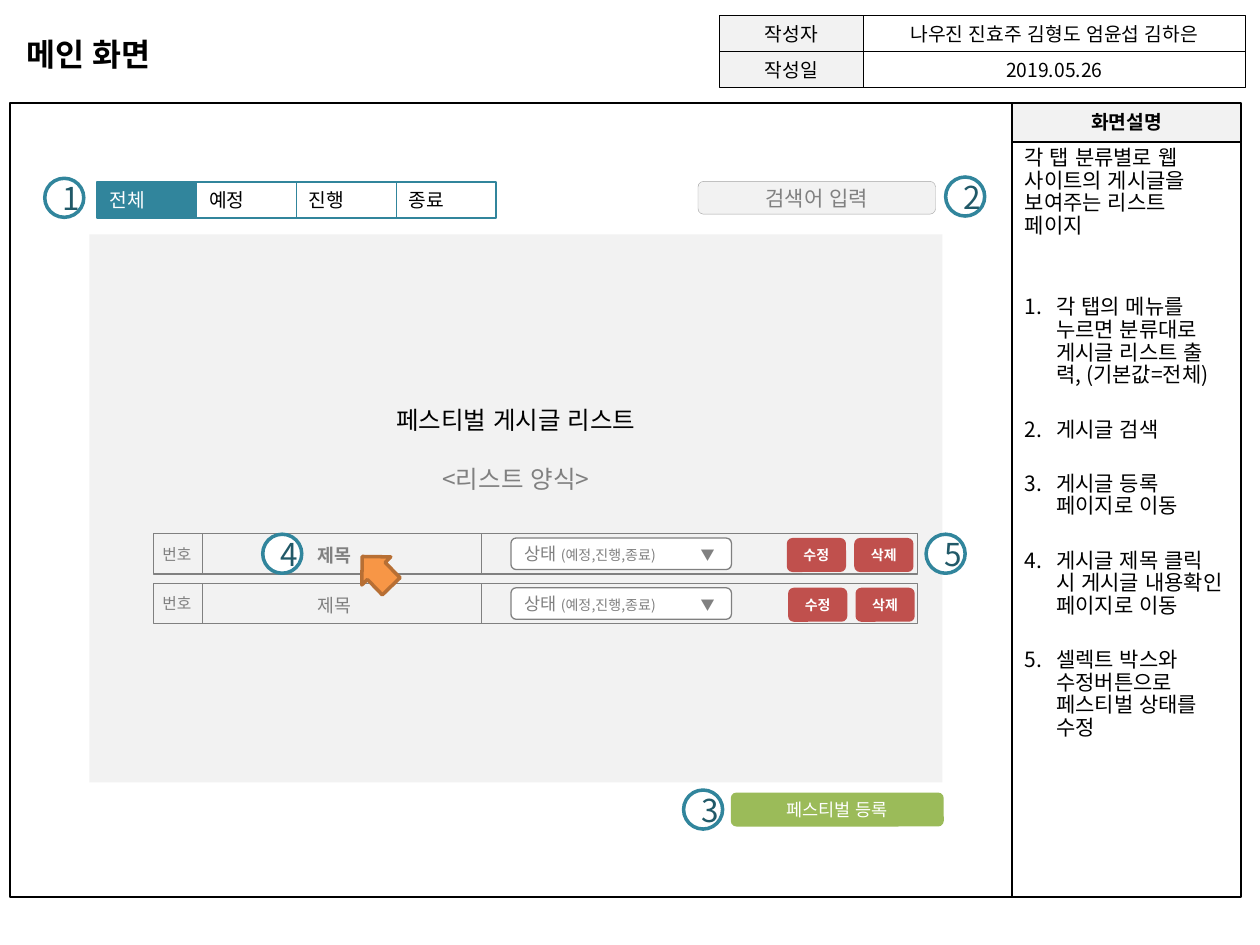
import pptx
import pptx.util
import pptx.dml.color
import pptx.enum.lang
import pptx.enum.shapes
import pptx.enum.text
import pptx.oxml.ns
import lxml.etree

Pt = pptx.util.Pt
RGB = pptx.dml.color.RGBColor.from_string
KIND = pptx.enum.shapes.MSO_SHAPE
LEFT = pptx.enum.text.PP_ALIGN.LEFT
MID = pptx.enum.text.PP_ALIGN.CENTER
FONT = "Noto Sans CJK KR"
HUE = {
    "black": "000000", "white": "FFFFFF", "pale": "F2F2F2", "gray": "808080",
    "edge": "A6A6A6", "teal": "31859C", "deep": "215968", "green": "9BBB59",
    "red": "C0504D", "gold": "F79646", "rust": "B76F34",
}

deck = pptx.Presentation()
deck.slide_width = pptx.util.Inches(10)
deck.slide_height = pptx.util.Inches(7.5)
page = deck.slides.add_slide(deck.slide_layouts[6])
col = deck.slide_width / 100
row = deck.slide_height / 75


def draw(kind, x, y, wide, high, fill=None, line=None, weight=0.75):
    place = [int(x * col), int(y * row), int(wide * col), int(high * row)]
    if kind is None:
        box = page.shapes.add_textbox(*place)
    else:
        box = page.shapes.add_shape(kind, *place)
        box.shadow.inherit = False
    if fill:
        box.fill.solid()
        box.fill.fore_color.rgb = RGB(HUE[fill])
    else:
        box.fill.background()
    if line:
        box.line.color.rgb = RGB(HUE[line])
        box.line.width = Pt(weight)
    else:
        box.line.fill.background()
    box.text_frame.word_wrap = True
    box.text_frame.vertical_anchor = pptx.enum.text.MSO_ANCHOR.MIDDLE
    return box


def write(para, text, size, hue="black", bold=False, align=MID, face=FONT):
    para.alignment = align
    run = para.add_run()
    run.text = text
    run.font.size = Pt(size)
    run.font.bold = bold
    run.font.name = face
    run.font.color.rgb = RGB(HUE[hue])
    run.font.language_id = pptx.enum.lang.MSO_LANGUAGE_ID.KOREAN
    run.font._element.set("kern", "0")
    east = lxml.etree.SubElement(run.font._element, pptx.oxml.ns.qn("a:ea"))
    east.set("typeface", FONT)


notes = [
    "각 탭 분류별로 웹 사이트의 게시글을 보여주는 리스트 페이지",
    "각 탭의 메뉴를 누르면 분류대로 게시글 리스트 출력, (기본값=전체)",
    "게시글 검색",
    "게시글 등록 페이지로 이동",
    "게시글 제목 클릭 시 게시글 내용확인 페이지로 이동",
    "셀렉트 박스와 수정버튼으로 페스티벌 상태를 수정",
]
side = draw(KIND.RECTANGLE, 80.35, 11.1, 18.15, 60.1, line="black", weight=1)
frame = side.text_frame
frame.vertical_anchor = pptx.enum.text.MSO_ANCHOR.TOP
frame.margin_top = frame.margin_bottom = int(0.6 * row)
frame.margin_right = int(1.3 * col)
for i, note in enumerate(notes):
    para = frame.add_paragraph() if i else frame.paragraphs[0]
    para.line_spacing = 0.9
    if i:
        para.space_before = Pt(33.5 if i == 1 else 18)
        prop = para._p.get_or_add_pPr()
        prop.set("marL", str(int(2.5 * col)))
        prop.set("indent", str(int(-2.5 * col)))
        mark = lxml.etree.SubElement(prop, pptx.oxml.ns.qn("a:buAutoNum"))
        mark.set("type", "arabicPeriod")
    write(para, note, 12, align=LEFT)

head = draw(KIND.RECTANGLE, 80.35, 8.2, 18.15, 3.1, "pale", "black", 1)
head.text_frame.paragraphs[0].line_spacing = 0.9
write(head.text_frame.paragraphs[0], "화면설명", 11, bold=True, face="Arial")
draw(KIND.RECTANGLE, 0.8, 8.2, 79.55, 63, "white", "black", 1)

facts = [("작성자", "나우진 진효주 김형도 엄윤섭 김하은"), ("작성일", "2019.05.26")]
for i, pair in enumerate(facts):
    for text, x, wide, fill in zip(pair, (57.12, 68.54), (11.42, 30.3), ("pale", None)):
        cell = draw(KIND.RECTANGLE, x, 1.25 + 2.85 * i, wide, 2.85, fill, "black")
        write(cell.text_frame.paragraphs[0], text, 11)

title = draw(None, 1.1, 2.3, 15.7, 4)
write(title.text_frame.paragraphs[0], "메인 화면", 18, bold=True, align=LEFT)

board = draw(KIND.RECTANGLE, 7.1, 18.6, 67.7, 43.5, "pale")
board.text_frame.margin_bottom = int(9.9 * row)
write(board.text_frame.paragraphs[0], "페스티벌 게시글 리스트", 14)
para = board.text_frame.add_paragraph()
para.space_before = Pt(17)
write(para, "<리스트 양식>", 14, "gray")

for i, text in enumerate(["전체", "예정", "진행", "종료"]):
    tab = draw(KIND.RECTANGLE, 7.7 + 7.92 * i, 14.45, 7.92, 2.85,
               "white" if i else "teal", "teal")
    write(tab.text_frame.paragraphs[0], text, 11,
          "black" if i else "white", align=LEFT)

search = draw(KIND.ROUNDED_RECTANGLE, 55.4, 14.4, 18.85, 2.6, "pale", "edge", 0.25)
write(search.text_frame.paragraphs[0], "검색어 입력", 12, "gray")

for i in range(2):
    top = 42.35 + 3.95 * i
    for x in (16.1, 38.2):
        rule = page.shapes.add_connector(
            pptx.enum.shapes.MSO_CONNECTOR.STRAIGHT,
            int(x * col), int(top * row), int(x * col), int((top + 3.2) * row))
        rule.line.color.rgb = RGB(HUE["gray"])
        rule.line.width = Pt(0.75)
        lxml.etree.SubElement(rule._element.spPr, pptx.oxml.ns.qn("a:effectLst"))
    draw(KIND.RECTANGLE, 12.2, top, 60.6, 3.2, line="gray")
    label = draw(None, 11.9, top + 0.35, 5, 2.5)
    write(label.text_frame.paragraphs[0], "번호", 9, "gray", align=LEFT)
    label = draw(None, 24.2, top + 0.3, 4.9, 2.8)
    write(label.text_frame.paragraphs[0], "제목", 10.5, "gray", i == 0, LEFT)

    state = draw(KIND.ROUNDED_RECTANGLE, 40.55, top + 0.35, 17.5, 2.5, "white", "gray")
    para = state.text_frame.paragraphs[0]
    tabs = lxml.etree.SubElement(para._p.get_or_add_pPr(), pptx.oxml.ns.qn("a:tabLst"))
    stop = lxml.etree.SubElement(tabs, pptx.oxml.ns.qn("a:tab"))
    stop.set("pos", str(int(13.95 * col)))
    stop.set("algn", "l")
    write(para, "상태", 10, "gray", align=LEFT)
    write(para, " (예정,진행,종료)\t▼", 8, "gray", align=LEFT)

    for x, text in ((62.45, "수정"), (67.8, "삭제")):
        key = draw(KIND.ROUNDED_RECTANGLE, x + 0.1 * i, top + 0.35, 4.7, 2.7, "red")
        write(key.text_frame.paragraphs[0], text, 8, "white", True)

enroll = draw(KIND.ROUNDED_RECTANGLE, 58, 62.9, 16.9, 2.7, "green")
write(enroll.text_frame.paragraphs[0], "페스티벌 등록", 10, "white")

spots = [(3.55, 14.15), (75.05, 14.05), (54.25, 62.7), (20.85, 42.4), (73.5, 42.4)]
for i, (x, y) in enumerate(spots, 1):
    badge = draw(KIND.OVAL, x, y, 3.1, 3.1, "white", "teal", 2)
    write(badge.text_frame.paragraphs[0], str(i), 18, "deep")

arrow = draw(KIND.UP_ARROW, 28.3, 43.7, 3.2, 3.3, "gold", "rust", 2)
arrow.adjustments[0] = 0.61
arrow.adjustments[1] = 0.5
arrow.rotation = 315.9

deck.save("out.pptx")
